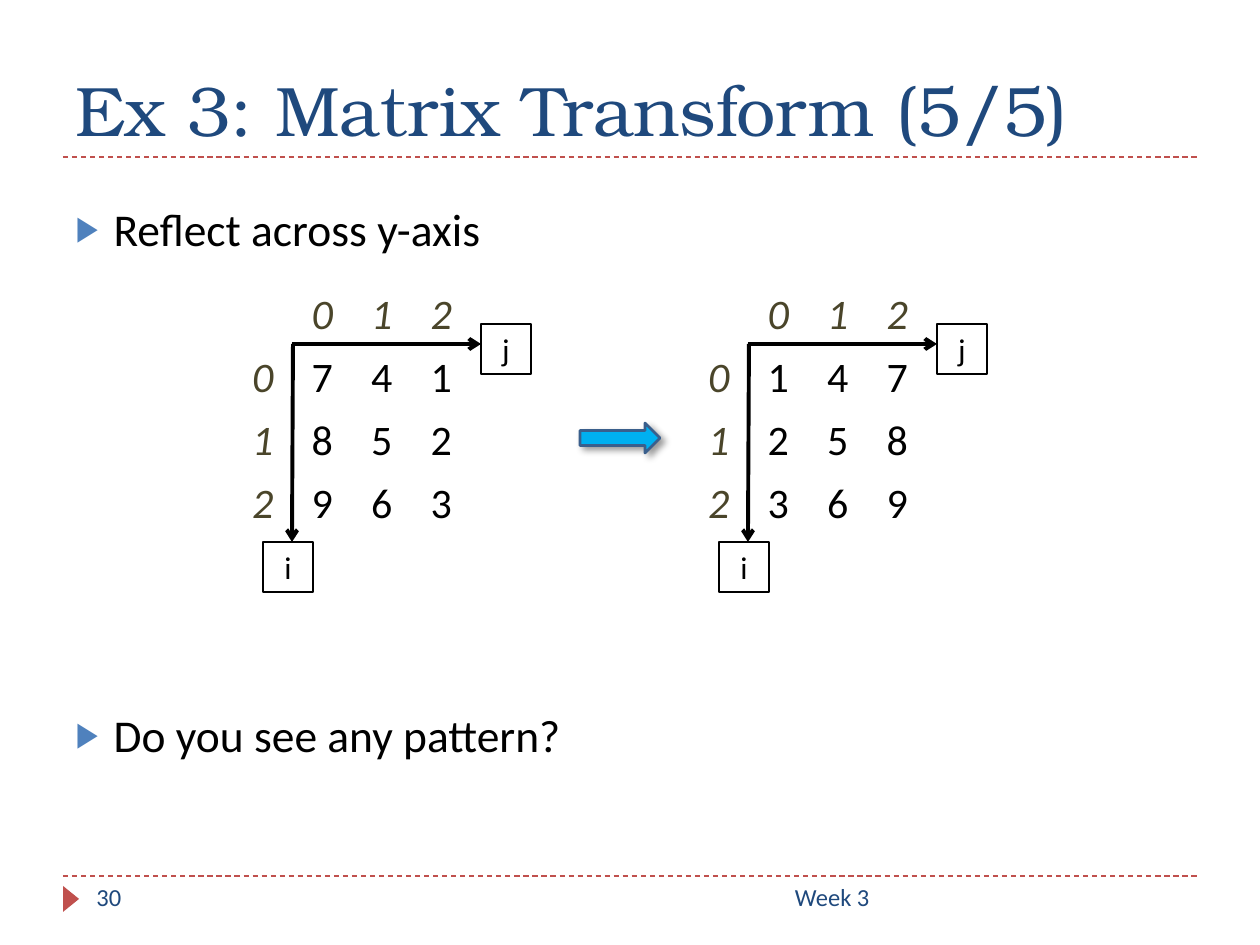
from lxml.etree import SubElement
from pptx import Presentation
from pptx.dml.color import RGBColor
from pptx.enum.dml import MSO_LINE
from pptx.enum.shapes import MSO_CONNECTOR, MSO_SHAPE
from pptx.enum.text import MSO_ANCHOR, MSO_AUTO_SIZE, PP_ALIGN
from pptx.oxml.ns import qn
from pptx.util import Emu, Pt

TITLE = "Ex 3: Matrix Transform (5/5)"
BULLETS = [("Reflect across y-axis", 195), ("Do you see any pattern?", 701)]
MATRICES = [
    (233, [[7, 4, 1], [8, 5, 2], [9, 6, 3]]),
    (689, [[1, 4, 7], [2, 5, 8], [3, 6, 9]]),
]
FOOTERS = [("30", (84, 876, 273, 50), PP_ALIGN.LEFT),
           ("Week 3", (399, 876, 483, 50), PP_ALIGN.RIGHT)]
RULES = [157, 876]
COLORS = {"navy": "1F497D", "red": "C0504D", "blue": "4F81BD", "black": "000000",
          "index": "4A452A", "arrow": "00B0F0", "outline": "3A5F8C"}
BODY_FONT, TITLE_FONT = "Calibri", "TeX Gyre Bonum"
SCALE = 914400 // 126
TABLE_TOP, COLUMN, ROW = 283, 59.5, 63
AXIS_TOP, AXIS_BOTTOM, AXIS_LENGTH = 344, 542, 189


def px(*values):
    return [Emu(round(value * SCALE)) for value in values]


def color(name):
    return RGBColor.from_string(COLORS[name])


def place(shape, box):
    shape.left, shape.top, shape.width, shape.height = px(*box)


def write(frame, text, size, name, align=PP_ALIGN.LEFT, font=BODY_FONT, italic=False):
    frame.text = text
    paragraph = frame.paragraphs[0]
    paragraph.alignment = align
    run_font = paragraph.runs[0].font
    run_font.size, run_font.name, run_font.italic = Pt(size), font, italic
    run_font.color.rgb = color(name)
    return paragraph


def add_line(start, end, name, width, dashed=False, arrow=False):
    connector = slide.shapes.add_connector(MSO_CONNECTOR.STRAIGHT, *px(*start, *end))
    connector.line.color.rgb = color(name)
    connector.line.width = Pt(width)
    if dashed:
        connector.line.dash_style = MSO_LINE.DASH
    if arrow:
        SubElement(connector.line._get_or_add_ln(), qn("a:tailEnd"), type="arrow")
    SubElement(connector._element.spPr, qn("a:effectLst"))


def add_shape(kind, box, fill=None, line=None, width=0.75):
    shape = slide.shapes.add_shape(kind, *px(*box))
    shape.shadow.inherit = False
    if fill:
        shape.fill.solid()
        shape.fill.fore_color.rgb = color(fill)
    else:
        shape.fill.background()
    if line:
        shape.line.color.rgb = color(line)
        shape.line.width = Pt(width)
    else:
        shape.line.fill.background()
    return shape


def add_bullet(paragraph):
    paragraph.space_before = Pt(6)
    properties = paragraph._p.get_or_add_pPr()
    indent = 38 * SCALE
    properties.set("marL", str(indent))
    properties.set("indent", str(-indent))
    bullet_color = SubElement(properties, qn("a:buClr"))
    SubElement(bullet_color, qn("a:srgbClr"), val=COLORS["blue"])
    SubElement(properties, qn("a:buSzPct"), val="76000")
    SubElement(properties, qn("a:buChar"), char="\u25b6")


def add_matrix(left, values):
    grid = [["", 0, 1, 2]] + [[index, *row] for index, row in enumerate(values)]
    table = slide.shapes.add_table(4, 4, *px(left, TABLE_TOP, 4 * COLUMN, 4 * ROW)).table
    table.first_row = table.horz_banding = False
    for row_index, row in enumerate(grid):
        for column_index, value in enumerate(row):
            cell = table.cell(row_index, column_index)
            cell.fill.background()
            if value != "":
                heading = row_index == 0 or column_index == 0
                write(cell.text_frame, str(value), 24, "index" if heading else "black",
                      PP_ALIGN.CENTER, italic=heading)
    axis = left + 59
    add_line((axis, AXIS_TOP), (axis + AXIS_LENGTH, AXIS_TOP), "black", 2.25, arrow=True)
    add_line((axis + 1, AXIS_TOP), (axis, AXIS_BOTTOM), "black", 2.25, arrow=True)
    for label, x, y in [("j", axis + AXIS_LENGTH, 324), ("i", axis - 29, AXIS_BOTTOM)]:
        box = add_shape(MSO_SHAPE.RECTANGLE, (x, y, 50, 50), line="black")
        write(box.text_frame, label, 18, "black", PP_ALIGN.CENTER)


presentation = Presentation()
presentation.slide_width, presentation.slide_height = px(1260, 945)
slide = presentation.slides.add_slide(presentation.slide_layouts[3])

for y in RULES:
    add_line((63, y), (1197, y), "red", 0.75, dashed=True)
marker = add_shape(MSO_SHAPE.ISOSCELES_TRIANGLE, (58, 891, 26, 16), "red")
marker.rotation = 90

title, *bodies = slide.placeholders
place(title, (63, 21, 1134, 136))
write(title.text_frame, TITLE, 40, "navy", font=TITLE_FONT)
title.text_frame.vertical_anchor = MSO_ANCHOR.BOTTOM
title.text_frame.auto_size = MSO_AUTO_SIZE.NONE

for body, (text, top) in zip(bodies, BULLETS):
    place(body, (63, top, 1134, 100))
    add_bullet(write(body.text_frame, text, 26, "black"))
    body.text_frame.auto_size = MSO_AUTO_SIZE.NONE

for text, box, align in FOOTERS:
    footer = slide.shapes.add_textbox(*px(*box))
    footer.text_frame.word_wrap = True
    write(footer.text_frame, text, 14, "navy", align)

for left, values in MATRICES:
    add_matrix(left, values)

arrow = add_shape(MSO_SHAPE.RIGHT_ARROW, (580, 423, 80, 30), "arrow", "outline", 1.5)
effects = arrow._element.spPr.find(qn("a:effectLst"))
shadow = SubElement(effects, qn("a:outerShdw"), blurRad=str(Pt(4)), dist=str(Pt(3)),
                    dir="2700000", algn="tl", rotWithShape="0")
shadow_color = SubElement(shadow, qn("a:srgbClr"), val=COLORS["black"])
SubElement(shadow_color, qn("a:alpha"), val="40000")

presentation.save("out.pptx")
